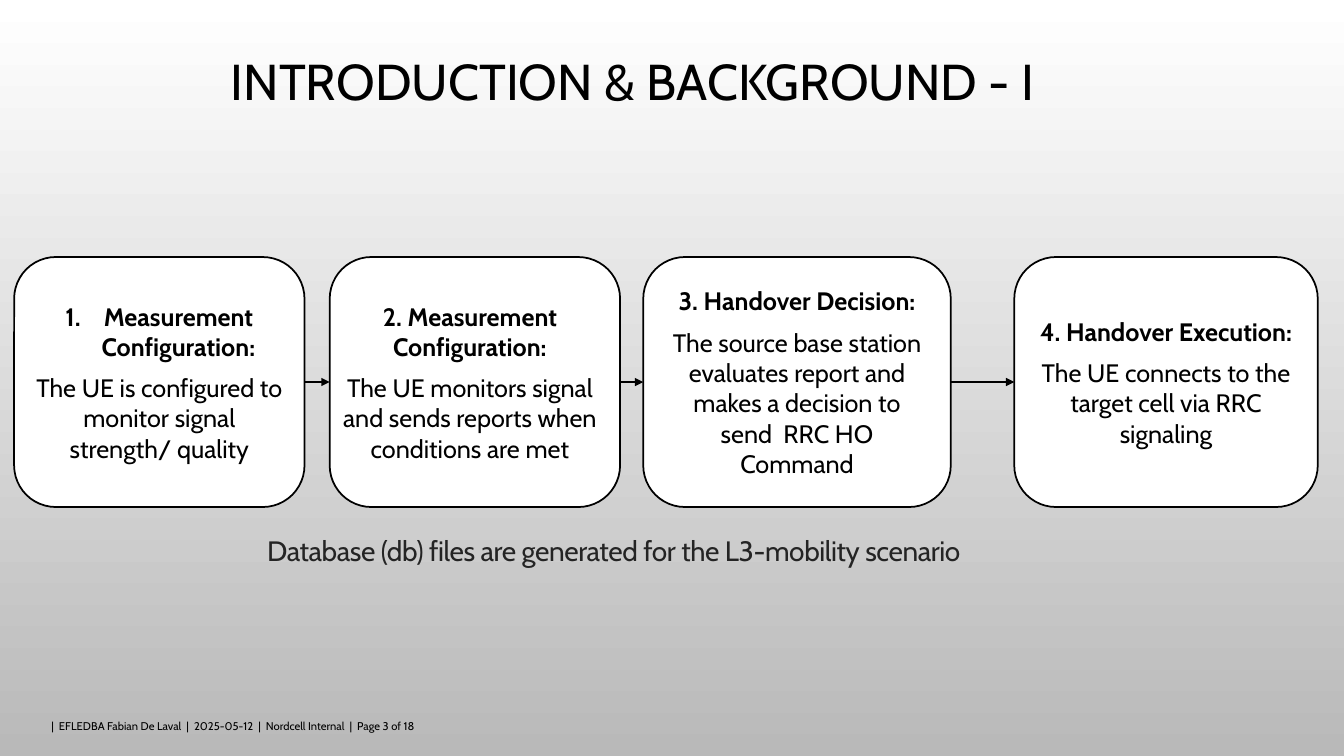
from dataclasses import dataclass

from lxml import etree
from pptx import Presentation
from pptx import util as u
from pptx.dml.color import RGBColor
from pptx.enum import dml, shapes, text
from pptx.oxml import ns


@dataclass(frozen=True)
class Theme:
    font: str = "Cabin"
    black: RGBColor = RGBColor(0, 0, 0)
    white: RGBColor = RGBColor(255, 255, 255)
    shade: RGBColor = RGBColor(0xB9, 0xB9, 0xB9)
    caption_color: RGBColor = RGBColor(0x24, 0x24, 0x24)
    title: int = 36
    caption: int = 20
    body: int = 18
    footer: int = 8


THEME = Theme()
STEP_TOP, STEP_HEIGHT = 2.55, 2.48
DEFAULT_INSETS = (0.1, 0.05, 0.1, 0.05)
TEXT_INSETS = (0.08, 0.04, 0.08, 0.04)
STEPS = [
    (0.14, 2.88, DEFAULT_INSETS, "Measurement Configuration:",
     "The UE is configured to monitor signal strength/ quality"),
    (3.27, 2.88, (0, 0.05, 0.1, 0.05), "2. Measurement Configuration:",
     "The UE monitors signal and sends reports when conditions are met"),
    (6.38, 3.05, DEFAULT_INSETS, "3. Handover Decision:",
     "The source base station evaluates report and makes a decision to send  RRC HO Command"),
    (10.06, 3.01, DEFAULT_INSETS, "4. Handover Execution:",
     "The UE connects to the target cell via RRC signaling"),
]


def paint_background(page):
    fill = page.background.fill
    fill.gradient()
    fill.gradient_angle = 270
    for stop, color in zip(fill.gradient_stops, (THEME.white, THEME.shade)):
        stop.color.rgb = color


def set_frame(box, insets):
    frame = box.text_frame
    frame.word_wrap = True
    (frame.margin_left, frame.margin_top,
     frame.margin_right, frame.margin_bottom) = map(u.Inches, insets)
    return frame


def style_span(span, size, color=THEME.black, bold=False):
    span.font.name = THEME.font
    span.font.size = u.Pt(size)
    span.font.color.rgb = color
    span.font.bold = bold


def add_label(page, place, words, size, color=THEME.black, insets=TEXT_INSETS):
    box = page.shapes.add_textbox(*map(u.Inches, place))
    frame = set_frame(box, insets)
    frame.text = words
    para = frame.paragraphs[0]
    style_span(para.runs[0], size, color)
    return para


def number_paragraph(para):
    properties = para._p.get_or_add_pPr()
    indent = u.Inches(0.38)
    properties.set("marL", str(indent))
    properties.set("indent", str(-indent))
    etree.SubElement(properties, ns.qn("a:buAutoNum"), type="arabicPeriod")


def add_step(page, left, width, insets, heading, detail):
    box = page.shapes.add_shape(
        shapes.MSO_SHAPE.ROUNDED_RECTANGLE,
        *map(u.Inches, (left, STEP_TOP, width, STEP_HEIGHT)))
    box.shadow.inherit = False
    box.fill.solid()
    box.fill.fore_color.rgb = THEME.white
    box.line.color.rgb = THEME.black
    box.line.width = u.Pt(1.25)
    frame = set_frame(box, insets)
    frame.vertical_anchor = text.MSO_ANCHOR.MIDDLE
    frame.text = f"{heading}\n{detail}"
    for para, bold in zip(frame.paragraphs, (True, False)):
        para.alignment = text.PP_ALIGN.CENTER
        style_span(para.runs[0], THEME.body, bold=bold)
    frame.paragraphs[1].space_before = u.Pt(8)
    return box


def add_arrow(page, start, end):
    arrow = page.shapes.add_connector(shapes.MSO_CONNECTOR.STRAIGHT, 0, 0, 0, 0)
    arrow.begin_connect(start, 3)
    arrow.end_connect(end, 1)
    arrow.line.color.rgb = THEME.black
    arrow.line.width = u.Pt(1)
    arrow.line.dash_style = dml.MSO_LINE.SOLID
    etree.SubElement(arrow.line._get_or_add_ln(), ns.qn("a:tailEnd"), type="triangle")
    etree.SubElement(arrow._element.spPr, ns.qn("a:effectLst"))


def main():
    deck = Presentation()
    deck.slide_width, deck.slide_height = u.Inches(13.33), u.Inches(7.5)
    page = deck.slides.add_slide(deck.slide_layouts[6])
    paint_background(page)

    add_label(page, (0.51, 7.14, 3.93, 0.13),
              "|  EFLEDBA Fabian De Laval  |  2025-05-12  |  Nordcell Internal  |  Page 3 of 18",
              THEME.footer, insets=(0, 0, 0, 0))
    title = add_label(page, (0.52, 0.52, 11.51, 1.18),
                      "INTRODUCTION & BACKGROUND - I", THEME.title)
    title.alignment = text.PP_ALIGN.CENTER
    title.line_spacing = 0.9

    steps = [add_step(page, *step) for step in STEPS]
    number_paragraph(steps[0].text_frame.paragraphs[0])
    for start, end in zip(steps, steps[1:]):
        add_arrow(page, start, end)

    caption = add_label(page, (2.57, 5.25, 9.94, 1),
                        "Database (db) files are generated for the L3-mobility scenario",
                        THEME.caption, THEME.caption_color)
    caption.runs[0].font._element.set("spc", "-30")

    deck.save("out.pptx")


if __name__ == "__main__":
    main()
